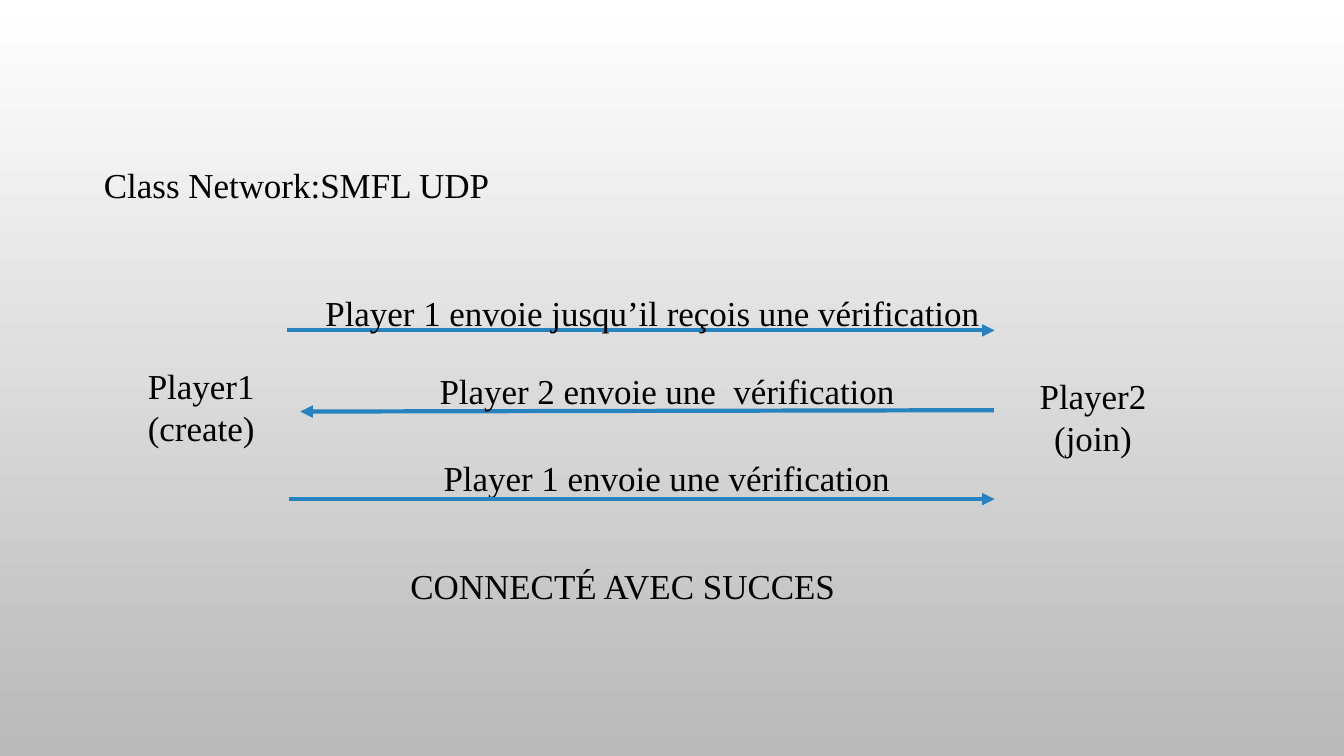
from lxml.etree import SubElement
from pptx import Presentation
from pptx.dml.color import RGBColor
from pptx.enum.shapes import MSO_CONNECTOR
from pptx.enum.text import MSO_ANCHOR, MSO_AUTO_SIZE, PP_ALIGN
from pptx.oxml.ns import qn
from pptx.util import Pt

COLORS = {"top": "FFFFFF", "bottom": "B9B9B9", "text": "000000", "arrow": "2683BF"}
FONT, FONT_SIZE, LINE_HEIGHT, PADDING = "Times New Roman", 25, 30.2, 7.2

HEADING = ("Class Network:SMFL UDP", 67, 113, 299)
PLAYERS = [
    (["Player1", "(create)"], 98, 257, 91.5),
    (["Player2", "(join)"], 735, 264, 91.5),
]
MESSAGES = [
    ("Player 1 envoie jusqu’il reçois une vérification", 222, 205, 488,
     (205, 236, 710.5, 236), "label above"),
    ("Player 2 envoie une  vérification", 304.5, 260.5, 344,
     (710, 293, 214.5, 294), "label above"),
    ("Player 1 envoie une vérification", 307.5, 322.5, 337.5,
     (206.5, 356.5, 710.5, 356.5), "arrow above"),
]
RESULT = ("CONNECTÉ AVEC SUCCES", 284.5, 400, 320.5)


def rgb(name):
    return RGBColor.from_string(COLORS[name])


def write(holder, lines, align, wrap):
    frame = holder.text_frame
    frame.text = "\n".join(lines)
    frame.word_wrap = wrap
    frame.auto_size = MSO_AUTO_SIZE.NONE
    frame.vertical_anchor = MSO_ANCHOR.TOP
    for paragraph in frame.paragraphs:
        paragraph.alignment = align
        paragraph.line_spacing = 1.0
        paragraph.space_before = Pt(0)
        paragraph.font.name = FONT
        paragraph.font.size = Pt(FONT_SIZE)
        paragraph.font.color.rgb = rgb("text")


def add_label(lines, left, top, width):
    height = len(lines) * LINE_HEIGHT + PADDING
    label = slide.shapes.add_textbox(Pt(left), Pt(top), Pt(width), Pt(height))
    write(label, lines, PP_ALIGN.CENTER, False)


def add_arrow(ends):
    arrow = slide.shapes.add_connector(MSO_CONNECTOR.STRAIGHT, *map(Pt, ends))
    arrow.line.color.rgb = rgb("arrow")
    arrow.line.width = Pt(3)
    SubElement(arrow.line._get_or_add_ln(), qn("a:tailEnd"), type="triangle")
    SubElement(arrow._element.spPr, qn("a:effectLst"))


deck = Presentation()
deck.slide_width, deck.slide_height = Pt(960), Pt(540)
slide = deck.slides.add_slide(deck.slide_layouts[5])

backdrop = slide.background.fill
backdrop.gradient()
backdrop.gradient_angle = 270
for stop, shade in zip(backdrop.gradient_stops, ("top", "bottom")):
    stop.color.rgb = rgb(shade)

heading_text, left, top, width = HEADING
heading = slide.shapes.title
heading.left, heading.top = Pt(left), Pt(top)
heading.width, heading.height = Pt(width), Pt(LINE_HEIGHT + PADDING)
write(heading, [heading_text], PP_ALIGN.LEFT, True)

for player in PLAYERS:
    add_label(*player)

for message, left, top, width, ends, order in MESSAGES:
    if order == "label above":
        add_arrow(ends)
    add_label([message], left, top, width)
    if order == "arrow above":
        add_arrow(ends)

result_text, *result_place = RESULT
add_label([result_text], *result_place)

deck.save("out.pptx")
